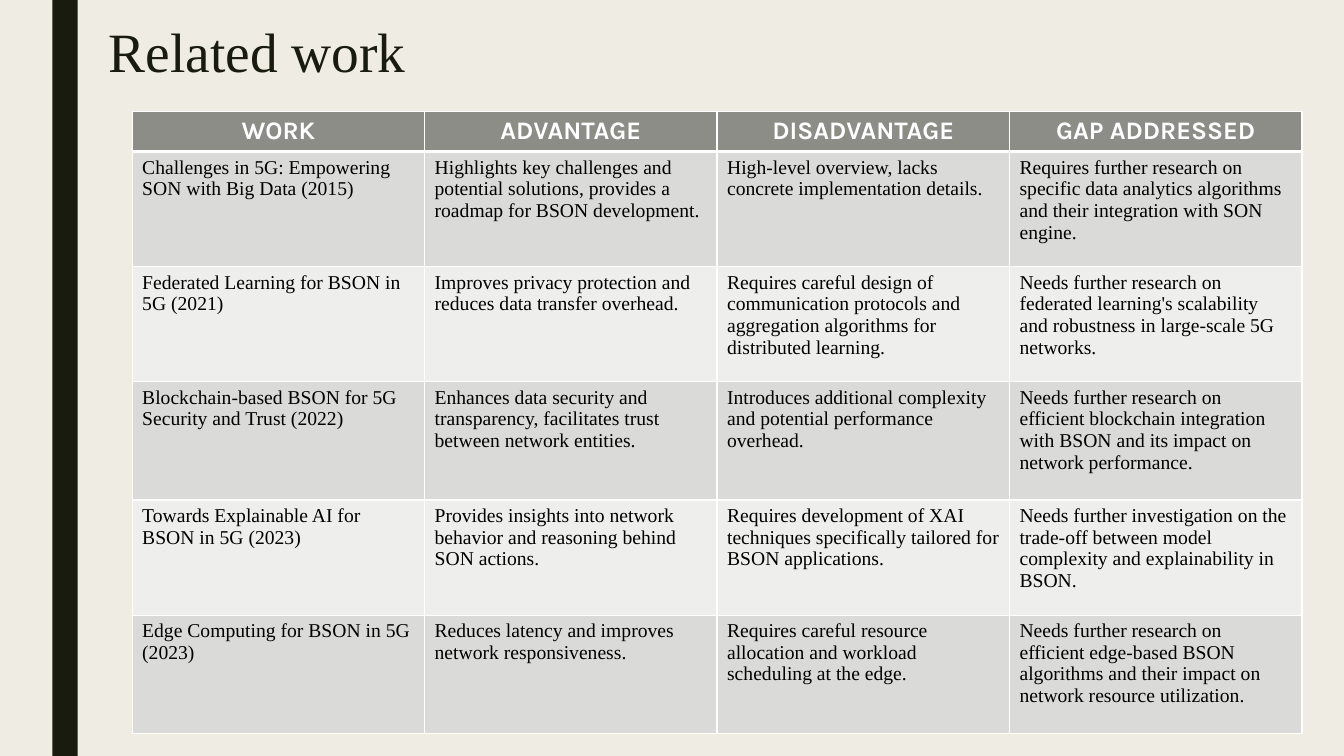
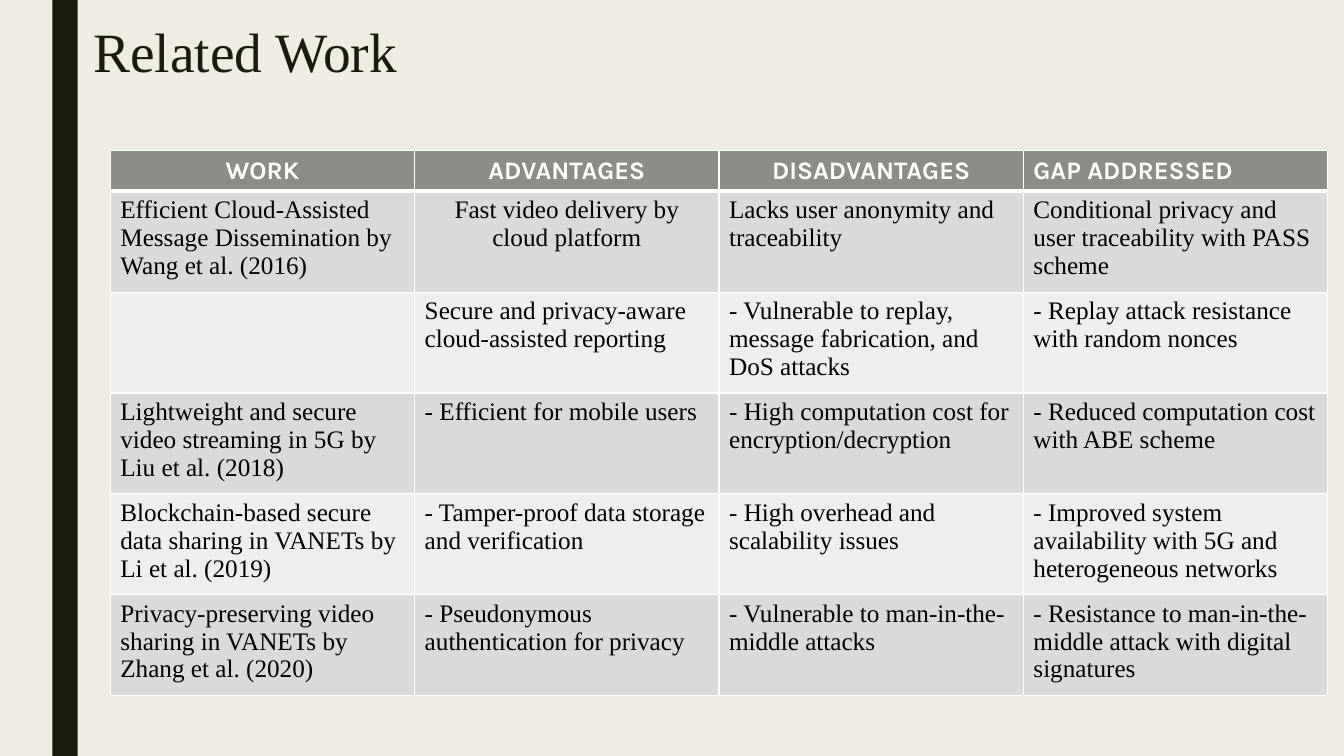
from dataclasses import dataclass

from lxml.etree import SubElement
from pptx import Presentation
from pptx.dml.color import RGBColor
from pptx.enum.shapes import MSO_SHAPE
from pptx.enum.text import PP_ALIGN
from pptx.oxml.ns import qn
from pptx.util import Cm, Pt


@dataclass(frozen=True)
class Theme:
    background: str = "EFEDE3"
    dark: str = "191B0E"
    header_fill: str = "8C8D86"
    odd_fill: str = "DADBD9"
    even_fill: str = "EEEEED"
    white: str = "FFFFFF"
    black: str = "000000"
    serif: str = "Times New Roman"
    sans: str = "Karla"
    title_size: float = 39.6
    header_size: int = 18
    border: int = 1
    header_border: int = 3


THEME = Theme()
SLIDE_WIDTH, SLIDE_HEIGHT = Cm(33.87), Cm(19.05)
HEADER_HEIGHT = 1.02

EARLY_WORK = [
    ["WORK", "ADVANTAGE", "DISADVANTAGE", "GAP ADDRESSED"],
    [
        "Challenges in 5G: Empowering SON with Big Data (2015)",
        "Highlights key challenges and potential solutions, provides a roadmap for BSON development.",
        "High-level overview, lacks concrete implementation details.",
        "Requires further research on specific data analytics algorithms and their integration with SON engine.",
    ],
    [
        "Federated Learning for BSON in 5G (2021)",
        "Improves privacy protection and reduces data transfer overhead.",
        "Requires careful design of communication protocols and aggregation algorithms for distributed learning.",
        "Needs further research on federated learning's scalability and robustness in large-scale 5G networks.",
    ],
    [
        "Blockchain-based BSON for 5G Security and Trust (2022)",
        "Enhances data security and transparency, facilitates trust between network entities.",
        "Introduces additional complexity and potential performance overhead.",
        "Needs further research on efficient blockchain integration with BSON and its impact on network performance.",
    ],
    [
        "Towards Explainable AI for BSON in 5G (2023)",
        "Provides insights into network behavior and reasoning behind SON actions.",
        "Requires development of XAI techniques specifically tailored for BSON applications.",
        "Needs further investigation on the trade-off between model complexity and explainability in BSON.",
    ],
    [
        "Edge Computing for BSON in 5G (2023)",
        "Reduces latency and improves network responsiveness.",
        "Requires careful resource allocation and workload scheduling at the edge.",
        "Needs further research on efficient edge-based BSON algorithms and their impact on network resource utilization.",
    ],
]

SECURITY_WORK = [
    ["WORK", "ADVANTAGES", "DISADVANTAGES", "GAP ADDRESSED"],
    [
        "Efficient Cloud-Assisted Message Dissemination by Wang et al. (2016)",
        "Fast video delivery by cloud platform",
        "Lacks user anonymity and traceability",
        "Conditional privacy and user traceability with PASS scheme",
    ],
    [
        "",
        "Secure and privacy-aware cloud-assisted reporting",
        "- Vulnerable to replay, message fabrication, and DoS attacks",
        "- Replay attack resistance with random nonces",
    ],
    [
        "Lightweight and secure video streaming in 5G by Liu et al. (2018)",
        "- Efficient for mobile users",
        "- High computation cost for encryption/decryption",
        "- Reduced computation cost with ABE scheme",
    ],
    [
        "Blockchain-based secure data sharing in VANETs by Li et al. (2019)",
        "- Tamper-proof data storage and verification",
        "- High overhead and scalability issues",
        "- Improved system availability with 5G and heterogeneous networks",
    ],
    [
        "Privacy-preserving video sharing in VANETs by Zhang et al. (2020)",
        "- Pseudonymous authentication for privacy",
        "- Vulnerable to man-in-the-middle attacks",
        "- Resistance to man-in-the-middle attack with digital signatures",
    ],
]


def paint(fill, color):
    fill.solid()
    fill.fore_color.rgb = RGBColor.from_string(color)


def write_text(frame, text, *, size, color, font=THEME.serif, bold=False, centred=False):
    frame.word_wrap = True
    paragraph = frame.paragraphs[0]
    paragraph.alignment = PP_ALIGN.CENTER if centred else PP_ALIGN.LEFT
    run = paragraph.add_run()
    run.text = text
    run.font.name = font
    run.font.size = Pt(size)
    run.font.bold = bold
    run.font.color.rgb = RGBColor.from_string(color)


def add_base(deck):
    slide = deck.slides.add_slide(deck.slide_layouts[6])
    paint(slide.background.fill, THEME.background)
    band = slide.shapes.add_shape(MSO_SHAPE.RECTANGLE, Cm(1.32), 0, Cm(0.64), SLIDE_HEIGHT)
    band.shadow.inherit = False
    band.line.fill.background()
    paint(band.fill, THEME.dark)
    return slide


def add_title(slide, text, left):
    title = slide.shapes.add_textbox(Cm(left), Cm(0.3), Cm(12), Cm(1.9))
    write_text(title.text_frame, text, size=THEME.title_size, color=THEME.dark)


def set_borders(cell, top, bottom):
    widths = {"a:lnL": THEME.border, "a:lnR": THEME.border, "a:lnT": top, "a:lnB": bottom}
    properties = cell._tc.get_or_add_tcPr()
    for tag, width in widths.items():
        edge = SubElement(properties, qn(tag), w=str(Pt(width)))
        SubElement(SubElement(edge, qn("a:solidFill")), qn("a:srgbClr"), val=THEME.white)


def fill_cell(cell, text, row, body_size, centred):
    set_borders(
        cell,
        top=THEME.header_border if row == 1 else THEME.border,
        bottom=THEME.header_border if row == 0 else THEME.border,
    )
    if row == 0:
        paint(cell.fill, THEME.header_fill)
        style = dict(size=THEME.header_size, color=THEME.white, font=THEME.sans, bold=True)
    else:
        paint(cell.fill, THEME.odd_fill if row % 2 else THEME.even_fill)
        style = dict(size=body_size, color=THEME.black)
    if text:
        write_text(cell.text_frame, text, centred=centred, **style)


def add_comparison(slide, entries, left, top, column_width, body_heights, body_size, centred):
    heights = [HEADER_HEIGHT, *body_heights]
    columns = len(entries[0])
    table = slide.shapes.add_table(
        len(entries), columns, Cm(left), Cm(top), Cm(column_width * columns), Cm(sum(heights))
    ).table
    table.horz_banding = False
    for column in table.columns:
        column.width = Cm(column_width)
    for row, (entry, height) in enumerate(zip(entries, heights)):
        table.rows[row].height = Cm(height)
        for column, text in enumerate(entry):
            fill_cell(table.cell(row, column), text, row, body_size, (row, column) in centred)


def main():
    deck = Presentation()
    deck.slide_width, deck.slide_height = SLIDE_WIDTH, SLIDE_HEIGHT

    early = add_base(deck)
    add_title(early, "Related work", left=2.49)
    add_comparison(
        early, EARLY_WORK, left=3.33, top=2.8, column_width=7.37,
        body_heights=[2.9, 2.9, 2.98, 2.9, 2.98], body_size=14,
        centred={(0, 0), (0, 1), (0, 2), (0, 3)},
    )

    security = add_base(deck)
    add_title(security, "Related Work", left=2.1)
    add_comparison(
        security, SECURITY_WORK, left=2.78, top=3.8, column_width=7.67,
        body_heights=[2.54] * 5, body_size=18,
        centred={(0, 0), (0, 1), (0, 2), (1, 1)},
    )

    deck.save("out.pptx")


if __name__ == "__main__":
    main()
